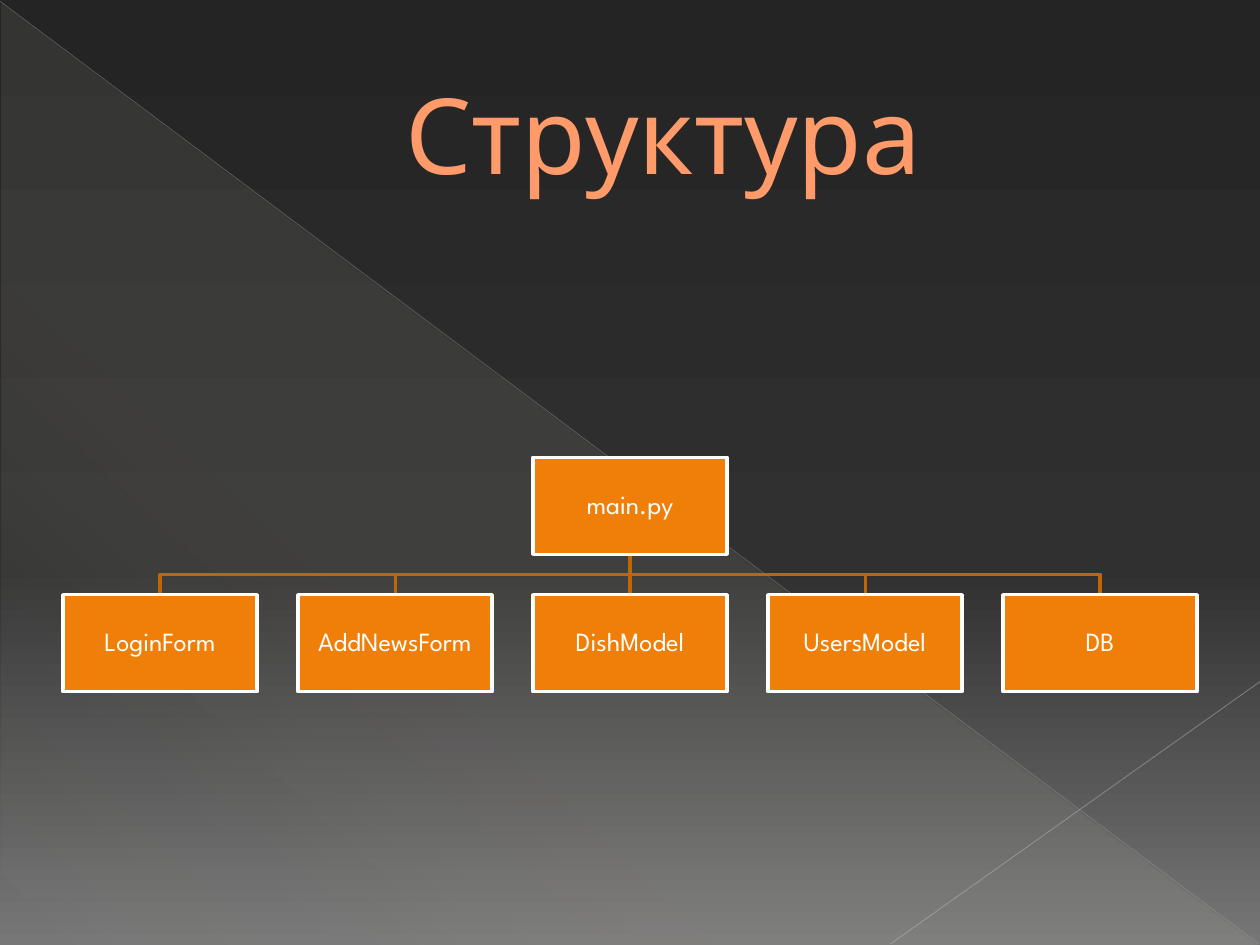
from pptx import Presentation
from pptx.dml.color import RGBColor
from pptx.enum.shapes import MSO_CONNECTOR, MSO_SHAPE
from pptx.enum.text import MSO_ANCHOR, PP_ALIGN
from pptx.oxml import parse_xml
from pptx.oxml.ns import nsdecls, qn
from pptx.util import Inches, Pt

COLORS = {
    "dark": "242424", "mid": "303030", "light": "767676",
    "sand": "E3DED1", "long": "B6B6B6", "short": "BFBFBF",
    "title": "FF9B6A", "edge": "A65806",
    "box": "F07F09", "link": "C06607", "white": "FFFFFF",
}
FONT = "League Spartan"


def rgb(name):
    return RGBColor.from_string(COLORS[name])


def apply(obj, **vals):
    for key, val in vals.items():
        setattr(obj, key, val)


def ln_style(shape, color, width):
    shape.line.color.rgb = rgb(color)
    shape.line.width = Pt(width)


def fade(color, alpha):
    color.append(parse_xml(f'<a:alpha {nsdecls("a")} val="{alpha * 1000}"/>'))


def blend(solid, stops, angle):
    """Swap a solid fill for a gradient of (place, colour, opacity) stops."""
    marks = "".join(
        f'<a:gs pos="{pos * 1000}"><a:srgbClr val="{COLORS[name]}">'
        f'<a:alpha val="{alpha * 1000}"/></a:srgbClr></a:gs>'
        for pos, name, alpha in stops)
    grad = parse_xml(
        f'<a:gradFill {nsdecls("a")} rotWithShape="1"><a:gsLst>{marks}</a:gsLst>'
        f'<a:lin ang="{angle * 60000}" scaled="0"/></a:gradFill>')
    solid.getparent().replace(solid, grad)


def add_text(frame, text, size, color, **para):
    apply(frame, word_wrap=True, vertical_anchor=MSO_ANCHOR.MIDDLE)
    par = frame.paragraphs[0]
    apply(par, alignment=PP_ALIGN.CENTER, **para)
    run = par.add_run()
    run.text = text
    apply(run.font, size=Pt(size), name=FONT)
    run.font.color.rgb = rgb(color)
    return par, run


def add_back(slide, wide, high):
    # Background gradient
    slide.background.fill.solid()
    slide.background.fill.fore_color.rgb = rgb("dark")
    blend(slide._element.find(".//" + qn("a:solidFill")),
          [(0, "dark", 100), (60, "mid", 100), (100, "light", 100)], 90)
    # Pale triangle
    tri = slide.shapes.add_shape(
        MSO_SHAPE.RIGHT_TRIANGLE, Inches(0.01), Inches(0.02),
        Inches(wide - 0.02), Inches(high - 0.02))
    tri.shadow.inherit = False
    tri.line.fill.background()
    tri.fill.solid()
    blend(tri._element.spPr.find(qn("a:solidFill")),
          [(0, "sand", 10), (70, "sand", 8), (100, "sand", 1)], 133)
    # Thin diagonals
    for ends, color, width, alpha in [
            ((0, 0.01, wide - 0.01, high - 0.01), "long", 0.39, 35),
            ((wide, 5.41, 7.07, high - 0.01), "short", 0.47, 45)]:
        line = slide.shapes.add_connector(
            MSO_CONNECTOR.STRAIGHT, *[Inches(v) for v in ends])
        ln_style(line, color, width)
        props = line._element.spPr
        fade(props.find(".//" + qn("a:srgbClr")), alpha)
        props.append(parse_xml(f'<a:effectLst {nsdecls("a")}/>'))


def add_title(slide, text, left, top, wide, high):
    title = slide.shapes.title
    apply(title, left=Inches(left), top=Inches(top),
          width=Inches(wide), height=Inches(high))
    par, run = add_text(title.text_frame, text, 60, "title")
    props = par._p.get_or_add_pPr()
    props.set("marL", str(Inches(0.53)))
    props.set("indent", "0")
    run._r.get_or_add_rPr().insert(0, parse_xml(
        f'<a:ln {nsdecls("a")} w="{Pt(0.5)}"><a:solidFill>'
        f'<a:srgbClr val="{COLORS["edge"]}"/></a:solidFill></a:ln>'))
    slide.shapes._spTree.append(title._element)  # in front of the backdrop


def add_link(slide, start, end):
    (x1, y1), (x2, y2) = start, end
    mid = (y1 + y2) / 2
    turns = [(x1, mid), (x2, mid), end] if x1 != x2 else [end]
    pen = slide.shapes.build_freeform(Inches(x1), Inches(y1))
    pen.add_line_segments([(Inches(x), Inches(y)) for x, y in turns], close=False)
    link = pen.convert_to_shape()
    link.shadow.inherit = False
    link.fill.background()
    ln_style(link, "link", 2)


def add_box(slide, text, left, top, wide, high):
    box = slide.shapes.add_shape(
        MSO_SHAPE.RECTANGLE, *[Inches(v) for v in (left, top, wide, high)])
    box.shadow.inherit = False
    box.fill.solid()
    box.fill.fore_color.rgb = rgb("box")
    ln_style(box, "white", 2)
    sides = ("left", "top", "right", "bottom")
    apply(box.text_frame, **{f"margin_{side}": Inches(0.01) for side in sides})
    add_text(box.text_frame, text, 15, "white", line_spacing=0.9)


def add_tree(slide, root, leaves, left, top, wide, high):
    box_w, box_h = 1.54, 0.77
    step = (wide - box_w) / (len(leaves) - 1)
    mid, low = left + wide / 2, top + high - box_h
    spots = [left + i * step for i in range(len(leaves))]
    # Links lie behind the boxes
    for x in reversed(spots):
        add_link(slide, (mid, top + box_h), (round(x + box_w / 2, 2), low))
    add_box(slide, root, mid - box_w / 2, top, box_w, box_h)
    for text, x in zip(leaves, spots):
        add_box(slide, text, x, low, box_w, box_h)


deck = Presentation()
apply(deck, slide_width=Inches(10), slide_height=Inches(7.5))
slide = deck.slides.add_slide(deck.slide_layouts[5])
add_back(slide, 10, 7.5)
add_title(slide, "Структура", 0.5, 0.29, 9, 1.53)
add_tree(slide, "main.py",
         ["LoginForm", "AddNewsForm", "DishModel", "UsersModel", "DB"],
         0.5, 3.63, 9, 1.86)
deck.save("out.pptx")
